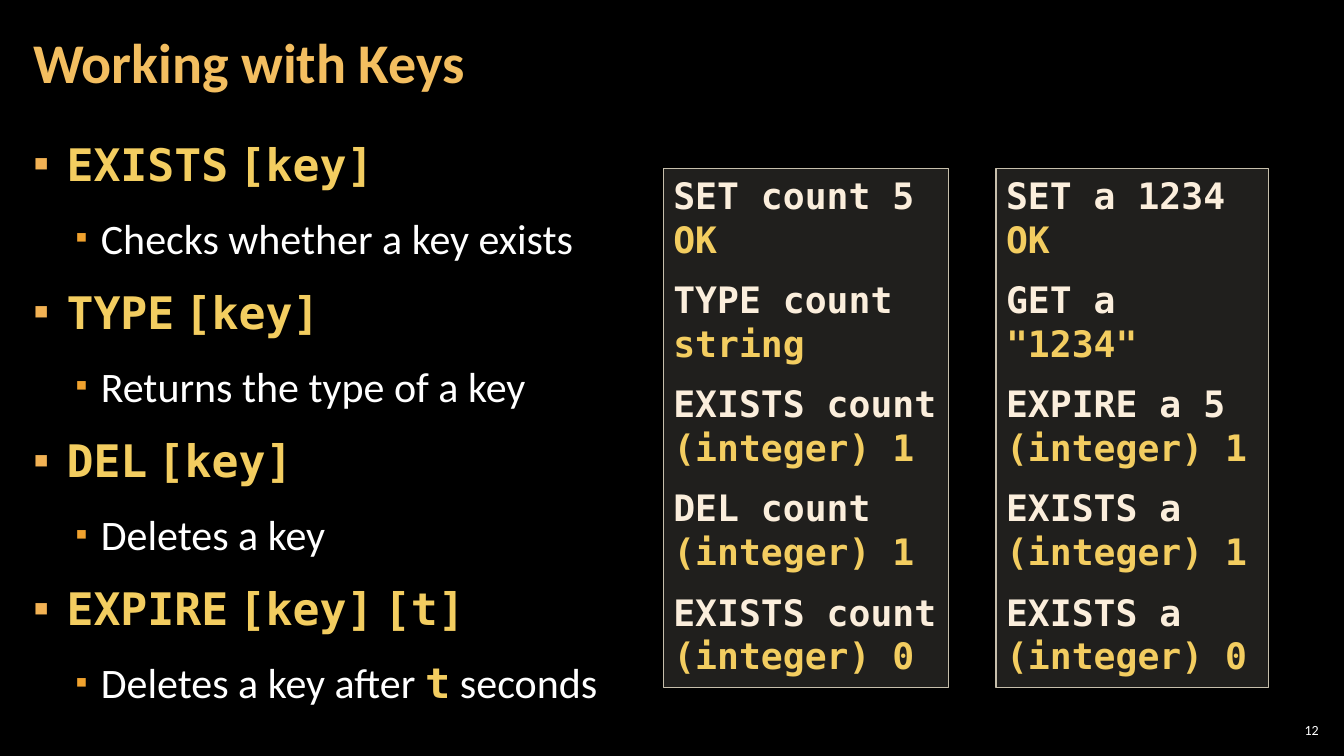
"""Build the slide on working with keys."""
from dataclasses import dataclass

from lxml import etree
from pptx import Presentation
from pptx.dml.color import RGBColor
from pptx.enum import shapes, text
from pptx.oxml import ns
from pptx.util import Inches, Pt

TITLE = "Working with Keys"
SLIDE_NUMBER = "12"
COMMANDS = [
    (["EXISTS", "[key]"], [("Checks whether a key exists", False)]),
    (["TYPE", "[key]"], [("Returns the type of a key", False)]),
    (["DEL", "[key]"], [("Deletes a key", False)]),
    (["EXPIRE", "[key]", "[t]"],
     [("Deletes a key after ", False), ("t", True), (" seconds", False)]),
]
SESSIONS = [
    (6.58, 2.83, [("SET count 5", "OK"), ("TYPE count", "string"),
                  ("EXISTS count", "(integer) 1"), ("DEL count", "(integer) 1"),
                  ("EXISTS count", "(integer) 0")]),
    (9.88, 2.7, [("SET a 1234", "OK"), ("GET a", '"1234"'),
                 ("EXPIRE a 5", "(integer) 1"), ("EXISTS a", "(integer) 1"),
                 ("EXISTS a", "(integer) 0")]),
]
SESSION_TOP, SESSION_HEIGHT = 1.67, 5.15


@dataclass(frozen=True)
class Theme:
    """Colours, fonts and type sizes."""
    background: str = "000000"
    title: str = "F3BE60"
    code: str = "F3CD60"
    prompt: str = "FBEEDC"
    body: str = "FFFFFF"
    panel: str = "D9D5C7"
    panel_line: str = "C7BFAC"
    panel_alpha: int = 15
    bullets: tuple = ("F2B254", "F0A22E")
    bullet_sizes: tuple = (100, 80)
    sans: str = "Calibri"
    mono: str = "DejaVu Sans Mono"
    title_size: int = 40
    command_size: int = 32
    detail_size: int = 30
    session_size: int = 26
    number_size: int = 10


THEME = Theme()


def add_text(paragraph, content, size, color=THEME.body, font=THEME.sans, bold=False):
    """Append one formatted run to a paragraph."""
    run = paragraph.add_run()
    run.text = content
    run.font.size = Pt(size)
    run.font.name = font
    run.font.bold = bold
    run.font.color.rgb = RGBColor.from_string(color)


def next_paragraph(frame):
    """Return the empty first paragraph of a frame, or a new one."""
    first = frame.paragraphs[0]
    return frame.add_paragraph() if first.runs else first


def set_frame(frame, anchor, side=0.12, edge=0.04):
    """Set wrapping, anchor and insets of a text frame."""
    frame.word_wrap = True
    frame.auto_size = text.MSO_AUTO_SIZE.NONE
    frame.vertical_anchor = anchor
    frame.margin_left = frame.margin_right = Inches(side)
    frame.margin_top = frame.margin_bottom = Inches(edge)


def add_bullet(paragraph, level):
    """Give a paragraph the square bullet and indent of its level."""
    properties = paragraph._p.get_or_add_pPr()
    margin, hanging = ((0.33, 0.33), (0.67, 0.25))[level]
    properties.set("marL", str(Inches(margin)))
    properties.set("indent", str(-Inches(hanging)))
    color = etree.SubElement(properties, ns.qn("a:buClr"))
    etree.SubElement(color, ns.qn("a:srgbClr"), val=THEME.bullets[level])
    etree.SubElement(properties, ns.qn("a:buSzPct"), val=str(THEME.bullet_sizes[level] * 1000))
    etree.SubElement(properties, ns.qn("a:buFont"), typeface=THEME.sans)
    etree.SubElement(properties, ns.qn("a:buChar"), char="▪")
    paragraph.level = level


def add_item(frame, level):
    """Add a spaced, bulleted paragraph."""
    paragraph = next_paragraph(frame)
    is_first = len(frame.paragraphs) == 1
    add_bullet(paragraph, level)
    paragraph.line_spacing = 1.1
    paragraph.space_before = Pt(0 if is_first else 6)
    paragraph.space_after = Pt(6)
    return paragraph


def add_title(slide):
    """Place and fill the title."""
    title = slide.shapes.title
    title.left, title.top = Inches(0.21), Inches(0.04)
    title.width, title.height = Inches(10.47), Inches(1.21)
    set_frame(title.text_frame, text.MSO_ANCHOR.MIDDLE)
    paragraph = title.text_frame.paragraphs[0]
    paragraph.alignment = text.PP_ALIGN.LEFT
    paragraph.line_spacing = 0.9
    add_text(paragraph, TITLE, THEME.title_size, color=THEME.title, bold=True)


def add_commands(slide):
    """List every command with its explanation."""
    box = slide.shapes.add_textbox(Inches(0.21), Inches(1.26), Inches(12.91), Inches(6.09))
    frame = box.text_frame
    set_frame(frame, text.MSO_ANCHOR.TOP)
    code = {"color": THEME.code, "font": THEME.mono, "bold": True}
    for words, details in COMMANDS:
        heading = add_item(frame, 0)
        for index, word in enumerate(words):
            if index:
                add_text(heading, " ", THEME.command_size, bold=True)
            add_text(heading, word, THEME.command_size, **code)
        explanation = add_item(frame, 1)
        for content, is_code in details:
            add_text(explanation, content, THEME.detail_size, **(code if is_code else {}))


def add_session(slide, left, width, exchanges):
    """Draw a panel of prompts and replies."""
    panel = slide.shapes.add_shape(
        shapes.MSO_SHAPE.RECTANGLE, Inches(left), Inches(SESSION_TOP),
        Inches(width), Inches(SESSION_HEIGHT))
    panel.shadow.inherit = False
    panel.fill.solid()
    panel.fill.fore_color.rgb = RGBColor.from_string(THEME.panel)
    color = panel._element.spPr.find(ns.qn("a:solidFill"))[0]
    etree.SubElement(color, ns.qn("a:alpha"), val=str(THEME.panel_alpha * 1000))
    panel.line.color.rgb = RGBColor.from_string(THEME.panel_line)
    panel.line.width = Pt(1)
    frame = panel.text_frame
    set_frame(frame, text.MSO_ANCHOR.TOP, side=0.1, edge=0.05)
    frame.auto_size = text.MSO_AUTO_SIZE.SHAPE_TO_FIT_TEXT
    for index, exchange in enumerate(exchanges):
        for content, tone in zip(exchange, (THEME.prompt, THEME.code)):
            paragraph = next_paragraph(frame)
            paragraph.alignment = text.PP_ALIGN.LEFT
            if index and tone == THEME.prompt:
                paragraph.space_before = Pt(12)
            add_text(paragraph, content, THEME.session_size, color=tone,
                     font=THEME.mono, bold=True)


def add_number(slide):
    """Write the slide number in the corner."""
    box = slide.shapes.add_textbox(Inches(12.65), Inches(7.14), Inches(0.47), Inches(0.21))
    set_frame(box.text_frame, text.MSO_ANCHOR.MIDDLE, side=0.04)
    paragraph = box.text_frame.paragraphs[0]
    paragraph.alignment = text.PP_ALIGN.RIGHT
    add_text(paragraph, SLIDE_NUMBER, THEME.number_size)


def main():
    """Assemble and save the presentation."""
    presentation = Presentation()
    presentation.slide_width, presentation.slide_height = Inches(13.33), Inches(7.5)
    slide = presentation.slides.add_slide(presentation.slide_layouts[5])
    slide.background.fill.solid()
    slide.background.fill.fore_color.rgb = RGBColor.from_string(THEME.background)
    add_title(slide)
    add_commands(slide)
    for left, width, exchanges in SESSIONS:
        add_session(slide, left, width, exchanges)
    add_number(slide)
    presentation.save("out.pptx")


if __name__ == "__main__":
    main()
